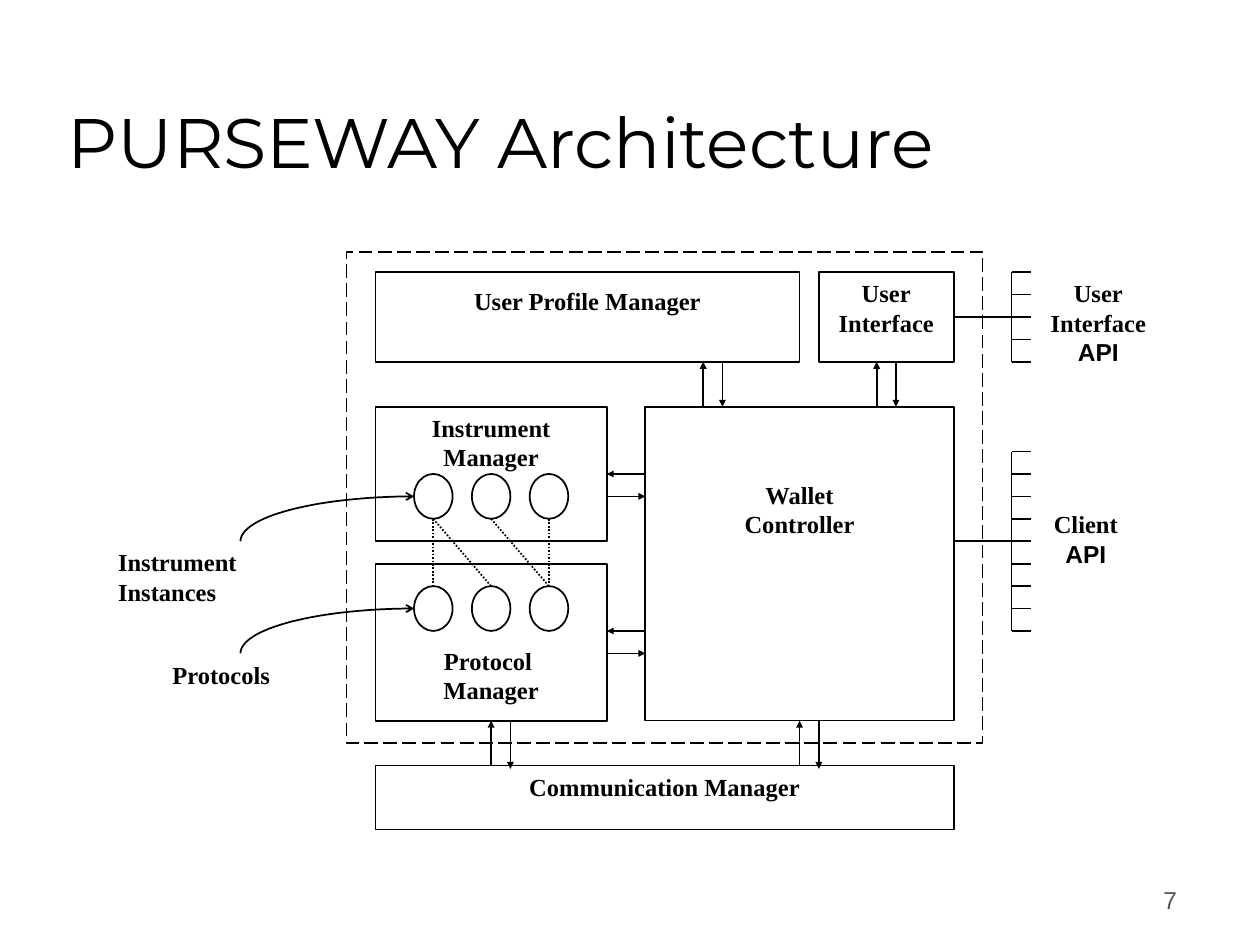
import dataclasses
import math

import lxml.etree
import pptx
import pptx.dml.color
import pptx.enum.dml
import pptx.enum.shapes
import pptx.enum.text
import pptx.oxml.ns
import pptx.util

ALIGN = pptx.enum.text.PP_ALIGN
ANCHOR = pptx.enum.text.MSO_ANCHOR
DASH = pptx.enum.dml.MSO_LINE
SHAPE = pptx.enum.shapes.MSO_SHAPE


@dataclasses.dataclass(frozen=True)
class Theme:
    ink: str = "000000"
    muted: str = "5E574E"
    title_font: str = "Montserrat"
    label_font: str = "Times New Roman"
    plain_font: str = "Arial"
    title_size: int = 40
    label_size: int = 14
    line_width: int = 1


@dataclasses.dataclass(frozen=True)
class Grid:
    """Diagram grid in inches; column 0, row 0 is the corner of the first module."""
    left: float = 2.98
    top: float = 2.16
    column: float = 0.153
    row: float = 0.178

    def point(self, column, row):
        return (pptx.util.Inches(self.left + column * self.column),
                pptx.util.Inches(self.top + row * self.row))

    def box(self, column, row, columns, rows):
        return (*self.point(column, row), pptx.util.Inches(columns * self.column),
                pptx.util.Inches(rows * self.row))


THEME = Theme()
GRID = Grid()


def apply(target, values):
    for name, value in values.items():
        setattr(target, name, value)


def write(shape, lines, align=ALIGN.CENTER, anchor=ANCHOR.TOP, inset=0.05, **font):
    """Fill a shape with one paragraph per line; API lines use the plain font."""
    frame = shape.text_frame
    apply(frame, {"word_wrap": True, "vertical_anchor": anchor,
                  "margin_left": pptx.util.Inches(0.1), "margin_right": pptx.util.Inches(0.1),
                  "margin_top": pptx.util.Inches(inset), "margin_bottom": pptx.util.Inches(0.05)})
    style = {"name": THEME.label_font, "size": THEME.label_size, "bold": True,
             "color": THEME.ink, **font}
    color = pptx.dml.color.RGBColor.from_string(style.pop("color"))
    style["size"] = pptx.util.Pt(style["size"])
    for index, line in enumerate(lines):
        para = frame.paragraphs[0] if index == 0 else frame.add_paragraph()
        para.alignment = align
        span = para.add_run()
        span.text = line
        apply(span.font, style)
        span.font.color.rgb = color
        if line == "API":
            span.font.name = THEME.plain_font


def add_label(page, box, lines, **options):
    write(page.shapes.add_textbox(*box), lines, **options)


def stroke(shape, dash=None, arrow=None):
    """Give a shape the diagram line, with an optional dash and end arrowhead."""
    line = shape.line
    line.color.rgb = pptx.dml.color.RGBColor.from_string(THEME.ink)
    apply(line, {"width": pptx.util.Pt(THEME.line_width), "dash_style": dash})
    if arrow:
        lxml.etree.SubElement(line._get_or_add_ln(), pptx.oxml.ns.qn("a:tailEnd"),
                              type=arrow, w="sm", len="sm")


def add_outline(page, kind, box, dash=None):
    shape = page.shapes.add_shape(kind, *box)
    shape.shadow.inherit = False
    shape.fill.background()
    stroke(shape, dash)
    return shape


def add_line(page, start, end, **options):
    line = page.shapes.add_connector(pptx.enum.shapes.MSO_CONNECTOR.STRAIGHT,
                                     *GRID.point(*start), *GRID.point(*end))
    stroke(line, **options)
    lxml.etree.SubElement(line._element.spPr, pptx.oxml.ns.qn("a:effectLst"))


def draw_modules(page):
    add_outline(page, SHAPE.RECTANGLE, GRID.box(-1.5, -0.9, 33, 21.9), DASH.LONG_DASH)
    modules = [
        ((0, 0, 22, 4), ["User Profile Manager"], 0.11),
        ((23, 0, 7, 4), ["User", "Interface"], 0.05),
        ((0, 6, 12, 6), ["Instrument Manager"], 0.05),
        ((0, 13, 12, 7), ["Protocol ", "Manager"], 0.65),
        ((14, 6, 16, 14), ["Wallet", "Controller"], 0.58),
        ((0, 22, 30, 2.85), ["Communication Manager"], 0.05),
    ]
    for cells, lines, inset in modules:
        write(add_outline(page, SHAPE.RECTANGLE, GRID.box(*cells)), lines, inset=inset)


def draw_exchanges(page):
    """Draw the pairs of opposite arrows between neighbouring modules."""
    for column, top, bottom, overshoot in [(17, 4, 6, 0), (26, 4, 6, 0),
                                           (6, 20, 22, 0.15), (22, 20, 22, 0.15)]:
        add_line(page, (column, bottom), (column, top), arrow="triangle")
        add_line(page, (column + 1, top), (column + 1, bottom + overshoot), arrow="triangle")
    for row in (9, 16):
        add_line(page, (14, row), (12, row), arrow="triangle")
        add_line(page, (12, row + 1), (14, row + 1), arrow="triangle")


def draw_instances(page):
    """Draw the instrument and protocol circles and the links between them."""
    columns = (2, 5, 8)
    for row in (9, 14):
        for column in columns:
            add_outline(page, SHAPE.OVAL, GRID.box(column, row, 2, 2))
    for upper, lower in [(0, 0), (0, 1), (1, 2), (2, 2)]:
        add_line(page, (columns[upper] + 1, 11), (columns[lower] + 1, 14),
                 dash=DASH.ROUND_DOT)


def draw_callout(page, row, text, align):
    """Curve from a label, whose top is at row, up to the first circle beside it."""
    steps = 30
    angles = [math.pi / 2 * step / steps for step in range(steps + 1)]
    points = [GRID.point(2 - 9 * math.cos(angle), row - 2 * math.sin(angle))
              for angle in angles]
    builder = page.shapes.build_freeform(*points[0])
    builder.add_line_segments(points[1:], close=False)
    curve = builder.convert_to_shape()
    curve.shadow.inherit = False
    curve.fill.background()
    stroke(curve, arrow="arrow")
    add_label(page, GRID.box(-14, row, 12, 3), [text], align=align)


def draw_api(page, first, last, label_cells, lines, inset):
    """Draw a comb with a tooth on each row, joined to its module at the middle."""
    middle = (first + last) / 2
    add_line(page, (30, middle), (33, middle))
    add_line(page, (33, first), (33, last))
    for row in range(first, last + 1):
        add_line(page, (33, row), (34, row))
    add_label(page, GRID.box(*label_cells), lines, inset=inset)


def draw_title(page, deck):
    width, height = deck.slide_width, deck.slide_height
    box = [int(share) for share in (width * 0.044, height / 30, width * 0.85, height / 6)]
    add_label(page, box, ["PURSEWAY Architecture"], align=ALIGN.LEFT, anchor=ANCHOR.BOTTOM,
              name=THEME.title_font, size=THEME.title_size, bold=False)


def draw_page_number(page, deck):
    width, height = deck.slide_width, deck.slide_height
    box = [int(share) for share in (width * 0.736, height * 0.908, width * 0.208, height / 15)]
    add_label(page, box, ["7"], align=ALIGN.RIGHT, anchor=ANCHOR.BOTTOM,
              name=THEME.plain_font, color=THEME.muted, bold=False)


def main():
    deck = pptx.Presentation()
    apply(deck, {"slide_width": pptx.util.Inches(10), "slide_height": pptx.util.Inches(7.5)})
    page = deck.slides.add_slide(deck.slide_layouts[6])
    draw_page_number(page, deck)
    draw_title(page, deck)
    draw_modules(page)
    draw_exchanges(page)
    draw_instances(page)
    draw_api(page, 0, 4, (34, 0, 7, 5), ["User", "Interface", "API"], 0.05)
    draw_api(page, 8, 16, (34, 9, 5.7, 6.5), ["Client", "API"], 0.28)
    draw_callout(page, 12, "Instrument Instances", ALIGN.LEFT)
    draw_callout(page, 17, "Protocols", ALIGN.CENTER)
    deck.save("out.pptx")


if __name__ == "__main__":
    main()
